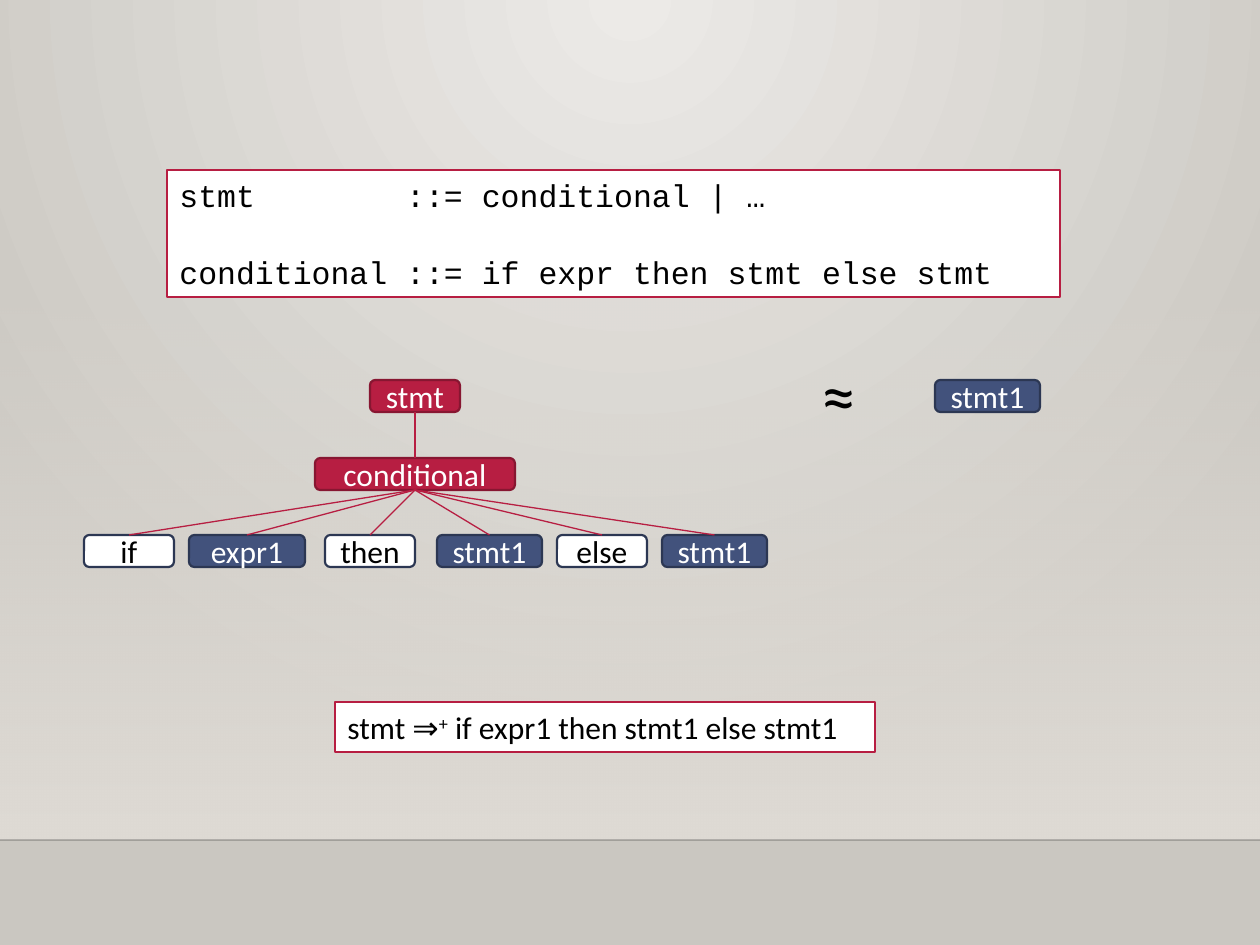
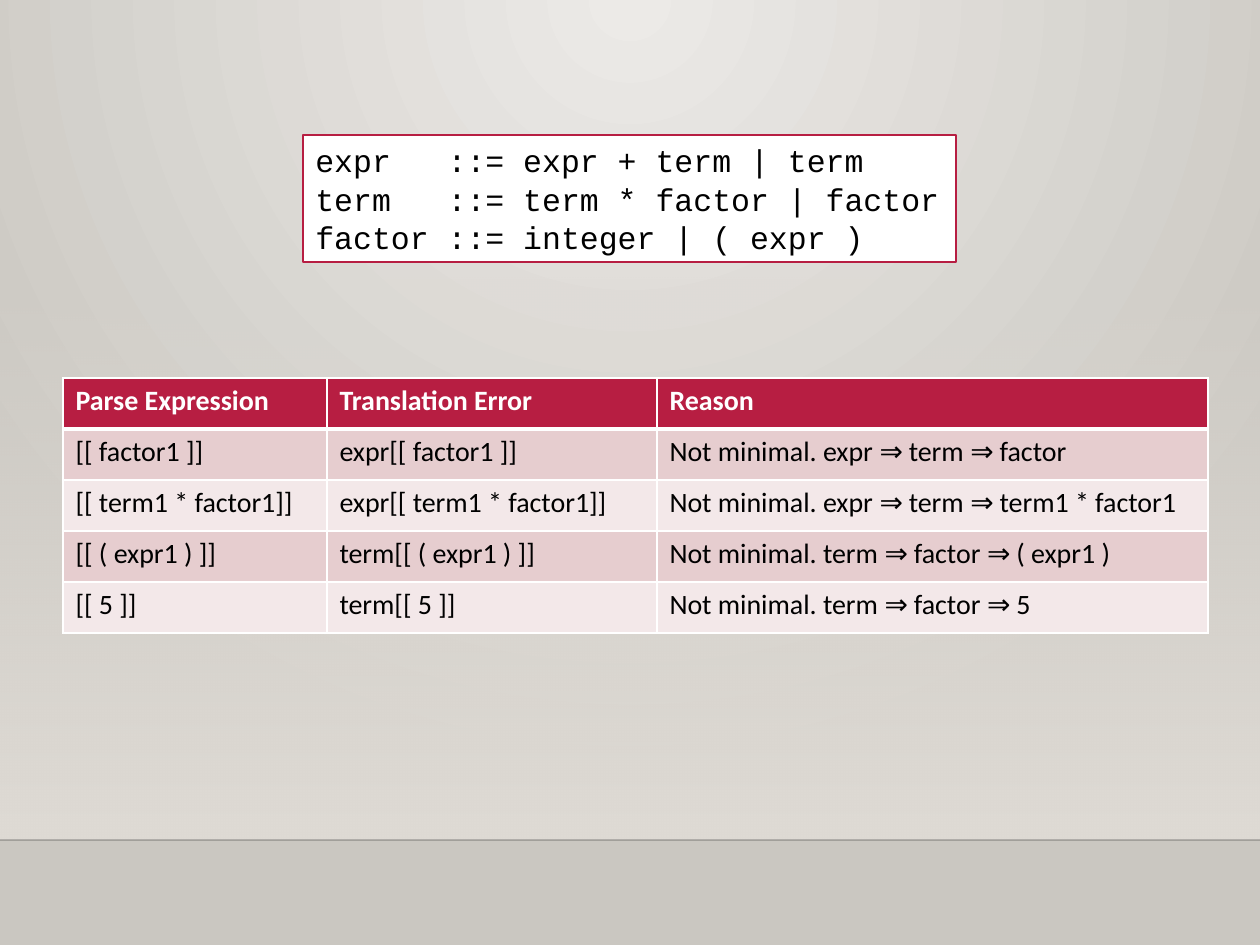
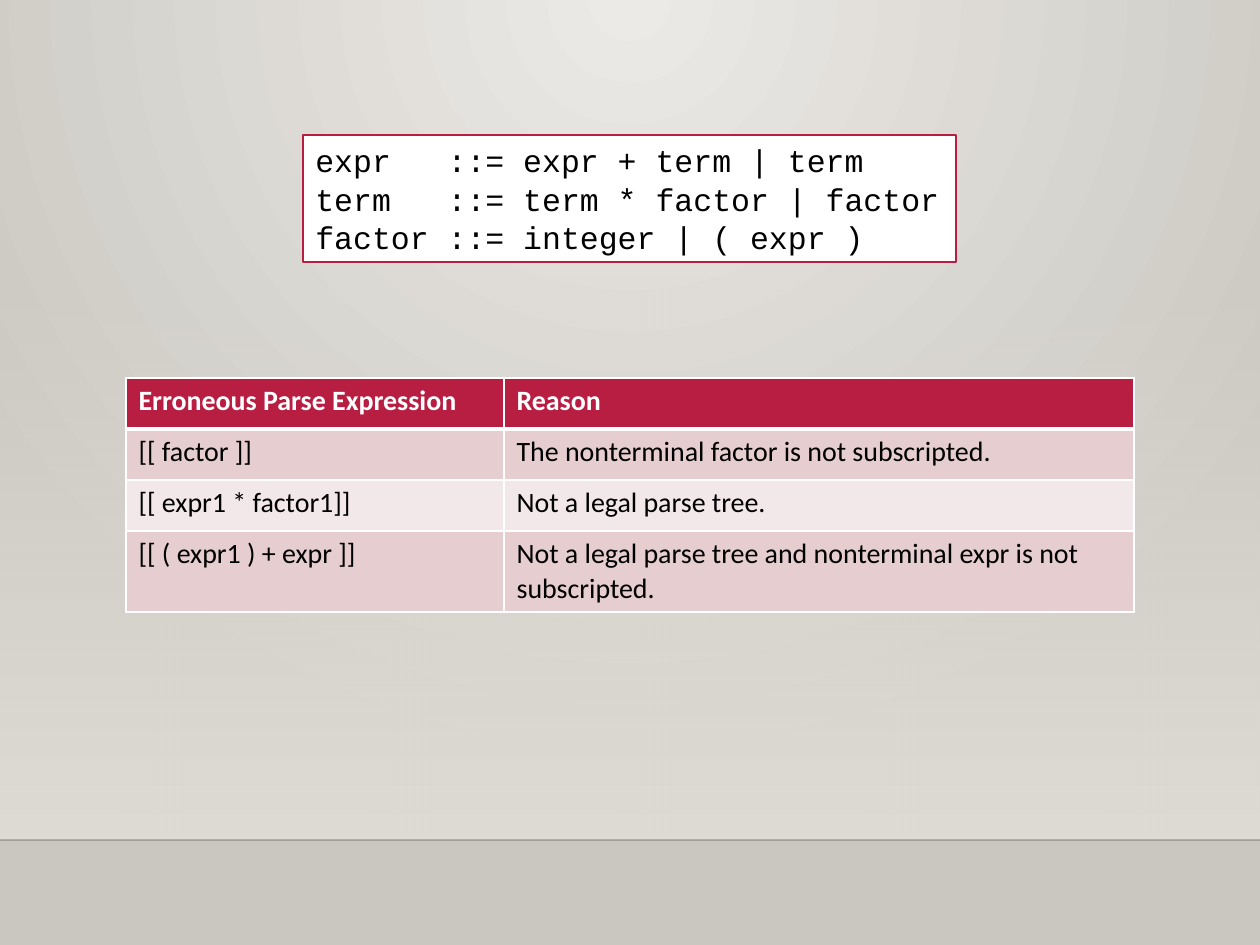
from lxml.etree import SubElement
from pptx import Presentation
from pptx.dml.color import RGBColor
from pptx.enum.shapes import MSO_CONNECTOR, MSO_SHAPE
from pptx.enum.text import MSO_ANCHOR, PP_ALIGN
from pptx.oxml.ns import qn
from pptx.util import Emu, Pt

RECT, ROUND = MSO_SHAPE.RECTANGLE, MSO_SHAPE.ROUNDED_RECTANGLE
LINE = MSO_CONNECTOR.STRAIGHT
TOP, MIDDLE = MSO_ANCHOR.TOP, MSO_ANCHOR.MIDDLE
LEFT, CENTER = PP_ALIGN.LEFT, PP_ALIGN.CENTER

SANS, MONO = "Calibri", "Courier New"
RED, WHITE, BLACK = "B71E42", "FFFFFF", "000000"
PINK, PALE = "E6CDCF", "F3E8E9"
# Node styles: fill, edge, ink
ROOT = (RED, "871631", WHITE)
HOLE = ("42527C", "2C3753", WHITE)
WORD = (WHITE, "2C3753", BLACK)
CODE_LINE = Pt(21.8)
hue = RGBColor.from_string


def px(*nums):
    """Turn pixels, 126 to the inch, into EMU."""
    return [Emu(round(n * 914400 / 126)) for n in nums]


def add_box(slide, area, lines, style=(WHITE, RED, BLACK), kind=RECT,
            font=SANS, weight=0.75):
    """Draw a framed box with one paragraph for each line."""
    box = slide.shapes.add_shape(kind, *px(*area))
    box.shadow.inherit = False
    fill, edge, ink = style
    box.fill.solid()
    box.fill.fore_color.rgb = hue(fill)
    box.line.color.rgb = hue(edge)
    box.line.width = Pt(weight)
    frame = box.text_frame
    frame.word_wrap = True
    frame.vertical_anchor = MIDDLE if kind == ROUND else TOP
    frame.text = "\n".join(lines)
    for para in frame.paragraphs:
        para.alignment = CENTER if kind == ROUND else LEFT
        para.font.name, para.font.size = font, Pt(18)
        para.font.color.rgb = hue(ink)
        if font == MONO:
            para.line_spacing = CODE_LINE
    return box


deck = Presentation()
deck.slide_width, deck.slide_height = px(1260, 945)

# Shared backdrop: round glow, fading band and floor line
master = deck.slide_master
glow = master.background.fill
glow.gradient()
for stop, tone in zip(glow.gradient_stops, ("ECEAE7", "CAC7C1")):
    stop.color.rgb = hue(tone)
grad = next(master.element.iter(qn("a:gradFill")))
grad.remove(grad.find(qn("a:lin")))
path = SubElement(grad, qn("a:path"), {"path": "circle"})
SubElement(path, qn("a:fillToRect"), l="43000", t="0", r="43000", b="100000")

slides = []
for _ in range(3):
    slide = deck.slides.add_slide(deck.slide_layouts[6])
    slides.append(slide)
    band = slide.shapes.add_shape(RECT, *px(0, 277, 1260, 563))
    band.shadow.inherit = False
    band.line.fill.background()
    band.fill.gradient()
    band.fill.gradient_angle = 270
    for stop in band.fill.gradient_stops:
        stop.color.rgb = hue("DFDBD5")
    floor = slide.shapes.add_connector(LINE, *px(0, 840, 1260, 840))
    floor.line.color.rgb = hue("000001")
    floor.line.width = Pt(1)
    SubElement(floor.element.spPr, qn("a:effectLst"))
    for part, alpha in ((band, "0"), (floor, "20000")):
        tone = next(part.element.iter(qn("a:srgbClr")))
        SubElement(tone, qn("a:alpha"), val=alpha)

# Slide 1: a parse tree and its derivation
slide = slides[0]
rules = add_box(slide, (167, 170, 893, 127),
                ["stmt        ::= conditional | …",
                 "conditional ::= if expr then stmt else stmt"], font=MONO)
rules.text_frame.paragraphs[1].space_before = CODE_LINE

nodes = [add_box(slide, (x, y, wide, 32), [word], style, ROUND, weight=1.25)
         for word, x, y, wide, style in (
             ("stmt", 370, 380, 90, ROOT),
             ("conditional", 315, 458, 200, ROOT),
             ("if", 84, 535, 90, WORD),
             ("expr1", 189, 535, 116, HOLE),
             ("then", 325, 535, 90, WORD),
             ("stmt1", 437, 535, 105, HOLE),
             ("else", 557, 535, 90, WORD),
             ("stmt1", 662, 535, 105, HOLE),
             ("stmt1", 935, 380, 105, HOLE))]
root, branch, *leaves, _ = nodes
for start, end in [(root, branch)] + [(branch, leaf) for leaf in leaves]:
    edge = slide.shapes.add_connector(LINE, 0, 0, 0, 0)
    edge.begin_connect(start, 2)
    edge.end_connect(end, 0)
    edge.line.color.rgb = hue(RED)
    edge.line.width = Pt(0.75)
    SubElement(edge.element.spPr, qn("a:effectLst"))

sign = slide.shapes.add_textbox(*px(809, 345, 64, 97)).text_frame
sign.word_wrap = True
sign.text = "≈"
para = sign.paragraphs[0]
para.font.name, para.font.size = SANS, Pt(40)
para.font.color.rgb = hue(BLACK)

proof = add_box(slide, (335, 702, 540, 50), ["stmt ⇒"])
para = proof.text_frame.paragraphs[0]
plus = para.add_run()
plus.text = "+"
plus._r.get_or_add_rPr().set("baseline", "30000")
para.add_run().text = " if expr1 then stmt1 else stmt1"

# Slides 2 and 3: tables of errors under one grammar
grammar = ["expr   ::= expr + term | term",
           "term   ::= term * factor | factor",
           "factor ::= integer | ( expr )"]
errors = [
    (63, (264, 330, 551), [
        ("Parse Expression", "Translation Error", "Reason"),
        ("[[ factor1 ]]", "expr[[ factor1 ]]",
         "Not minimal. expr ⇒ term ⇒ factor"),
        ("[[ term1 * factor1]]", "expr[[ term1 * factor1]]",
         "Not minimal. expr ⇒ term ⇒ term1 * factor1"),
        ("[[ ( expr1 ) ]]", "term[[ ( expr1 ) ]]",
         "Not minimal. term ⇒ factor ⇒ ( expr1 )"),
        ("[[ 5 ]]", "term[[ 5 ]]", "Not minimal. term ⇒ factor ⇒ 5")]),
    (126, (378, 630), [
        ("Erroneous Parse Expression", "Reason"),
        ("[[ factor ]]", "The nonterminal factor is not subscripted."),
        ("[[ expr1 * factor1]]", "Not a legal parse tree."),
        ("[[ ( expr1 ) + expr ]]",
         "Not a legal parse tree and nonterminal expr is not subscripted.")]),
]
for slide, (left, widths, rows) in zip(slides[1:], errors):
    table = slide.shapes.add_table(
        len(rows), len(widths),
        *px(left, 378, sum(widths), 51 * len(rows))).table
    for col, wide in zip(table.columns, px(*widths)):
        col.width = wide
    for i, row in enumerate(rows):
        for j, text in enumerate(row):
            cell = table.cell(i, j)
            cell.text = text
            font = cell.text_frame.paragraphs[0].font
            font.name, font.size, font.bold = SANS, Pt(16), i == 0
            font.color.rgb = hue(BLACK if i else WHITE)
            cell.fill.solid()
            cell.fill.fore_color.rgb = hue((PINK if i % 2 else PALE) if i else RED)
            props = cell._tc.get_or_add_tcPr()
            thick = {(0, "B"), (1, "T")}
            for k, side in enumerate("LRTB"):
                weight = Pt(3 if (i, side) in thick else 1)
                rim = SubElement(props, qn("a:ln" + side), w=str(weight))
                SubElement(SubElement(rim, qn("a:solidFill")),
                           qn("a:srgbClr"), val=WHITE)
                props.insert(k, rim)
    add_box(slide, (303, 135, 653, 127), grammar, font=MONO)

deck.save("out.pptx")
